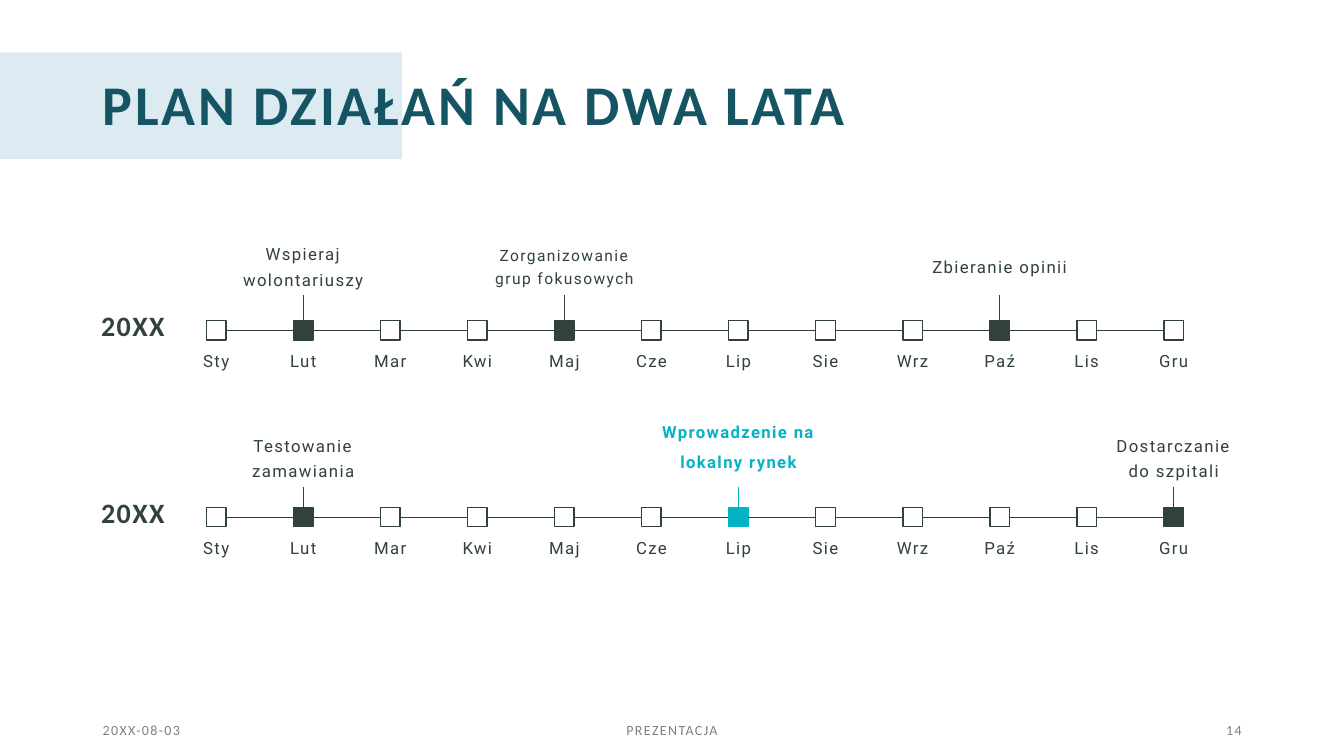
import pptx
import pptx.dml.color
import pptx.enum.shapes
import pptx.enum.text
import pptx.oxml.ns
import pptx.util
from pptx.util import Cm

COLORS = {
    "band": "DCEAF1",
    "title": "155463",
    "dark": "30423A",
    "accent": "04B3C3",
    "footer": "808080",
    "white": "FFFFFF",
}
ALIGN = pptx.enum.text.PP_ALIGN
ANCHOR = pptx.enum.text.MSO_ANCHOR

MONTHS = ["Sty", "Lut", "Mar", "Kwi", "Maj", "Cze",
          "Lip", "Sie", "Wrz", "Paź", "Lis", "Gru"]
FIRST_X, LAST_X = 5.45, 29.58
STEP = (LAST_X - FIRST_X) / (len(MONTHS) - 1)
SQUARE = 0.49

CALLOUT = {"width": 4, "height": 1.54, "size": 12, "spacing": 1.25, "color": "dark"}
LAUNCH = {"width": 4.45, "height": 2.24, "size": 11.9, "spacing": 1.5,
          "color": "accent", "bold": True}

# Axis height, top of the stems, and the milestones by month
YEARS = [
    (8.32, 7.43, {
        "Lut": ("Wspieraj wolontariuszy", CALLOUT),
        "Maj": ("Zorganizowanie grup fokusowych", {**CALLOUT, "size": 11.1}),
        "Paź": ("Zbieranie opinii", CALLOUT),
    }),
    (13.03, 12.26, {
        "Lut": ("Testowanie zamawiania", CALLOUT),
        "Lip": ("Wprowadzenie na lokalny rynek", LAUNCH),
        "Gru": ("Dostarczanie do szpitali", CALLOUT),
    }),
]


class Deck:
    """Style and current slide; all lengths are in centimetres."""

    def __init__(self, prs):
        self.s = prs.slides.add_slide(prs.slide_layouts[6])

    def rgb(self, name):
        return pptx.dml.color.RGBColor.from_string(COLORS[name])

    def text(self, text, x, y, width, height, size, color="dark", font="Roboto",
             bold=False, align=ALIGN.CENTER, anchor=ANCHOR.MIDDLE,
             spacing=1.0, before=0, tracking=1):
        sp = self.s.shapes.add_textbox(Cm(x), Cm(y), Cm(width), Cm(height))
        tf = sp.text_frame
        tf.word_wrap = True
        tf.vertical_anchor = anchor
        p = tf.paragraphs[0]
        p.text = text
        p.alignment = align
        p.line_spacing = spacing
        p.space_before = pptx.util.Pt(before)
        p.font.name = font
        p.font.size = pptx.util.Pt(size)
        p.font.bold = bold
        p.font.color.rgb = self.rgb(color)
        props = p._p.pPr.find(pptx.oxml.ns.qn("a:defRPr"))
        props.set("spc", str(tracking * 100))

    def rect(self, x, y, width, height, fill, line=None):
        sp = self.s.shapes.add_shape(pptx.enum.shapes.MSO_SHAPE.RECTANGLE,
                                     Cm(x), Cm(y), Cm(width), Cm(height))
        sp.shadow.inherit = False
        sp.fill.solid()
        sp.fill.fore_color.rgb = self.rgb(fill)
        if line:
            sp.line.color.rgb = self.rgb(line)
            sp.line.width = pptx.util.Pt(1)
        else:
            sp.line.fill.background()

    def line(self, x1, y1, x2, y2, color="dark"):
        c = self.s.shapes.add_connector(pptx.enum.shapes.MSO_CONNECTOR.STRAIGHT,
                                        Cm(x1), Cm(y1), Cm(x2), Cm(y2))
        c.line.color.rgb = self.rgb(color)
        c.line.width = pptx.util.Pt(0.5)
        c._element.spPr.append(pptx.oxml.parse_xml(
            f'<a:effectLst {pptx.oxml.ns.nsdecls("a")}/>'))

    def year(self, axis, stem_top, milestones):
        """Draw one year: its label, the month axis and the milestones."""
        self.text("20XX", 1.93, axis - 0.76, 2.84, 1.4, 20, font="Calibri",
                  bold=True, spacing=0.9, before=10)
        half = SQUARE / 2
        for i, month in enumerate(MONTHS):
            x = FIRST_X + i * STEP
            if i:
                self.line(x - STEP + half, axis, x - half, axis)
            fill, line = "white", "dark"
            if month in milestones:
                label, style = milestones[month]
                fill = line = style["color"]
                self.line(x, stem_top, x, axis, line)
                self.text(label, x - style["width"] / 2,
                          stem_top - style["height"], **style)
            self.rect(x - half, axis - half, SQUARE, SQUARE, fill, line)
            self.text(month, x - 0.85, axis + 0.5, 1.7, 1.8, 12,
                      anchor=ANCHOR.TOP, spacing=0.8)


def main():
    prs = pptx.Presentation()
    prs.slide_width, prs.slide_height = Cm(33.87), Cm(19.05)
    deck = Deck(prs)
    deck.rect(0, 1.32, 10.13, 2.69, "band")
    deck.text("PLAN DZIAŁAŃ NA DWA LATA", 2.34, 1.85, 29.2, 1.83, 40, "title",
              "Calibri", bold=True, align=ALIGN.LEFT, spacing=0.8, tracking=2)
    for year in YEARS:
        deck.year(*year)
    for text, x, width, align in [
        ("20XX-08-03", 2.34, 7.62, ALIGN.LEFT),
        ("PREZENTACJA", 11.22, 11.43, ALIGN.CENTER),
        ("14", 23.92, 7.62, ALIGN.RIGHT),
    ]:
        deck.text(text, x, 18.11, width, 0.56, 10, "footer", "Calibri", align=align)
    prs.save("out.pptx")


if __name__ == "__main__":
    main()
